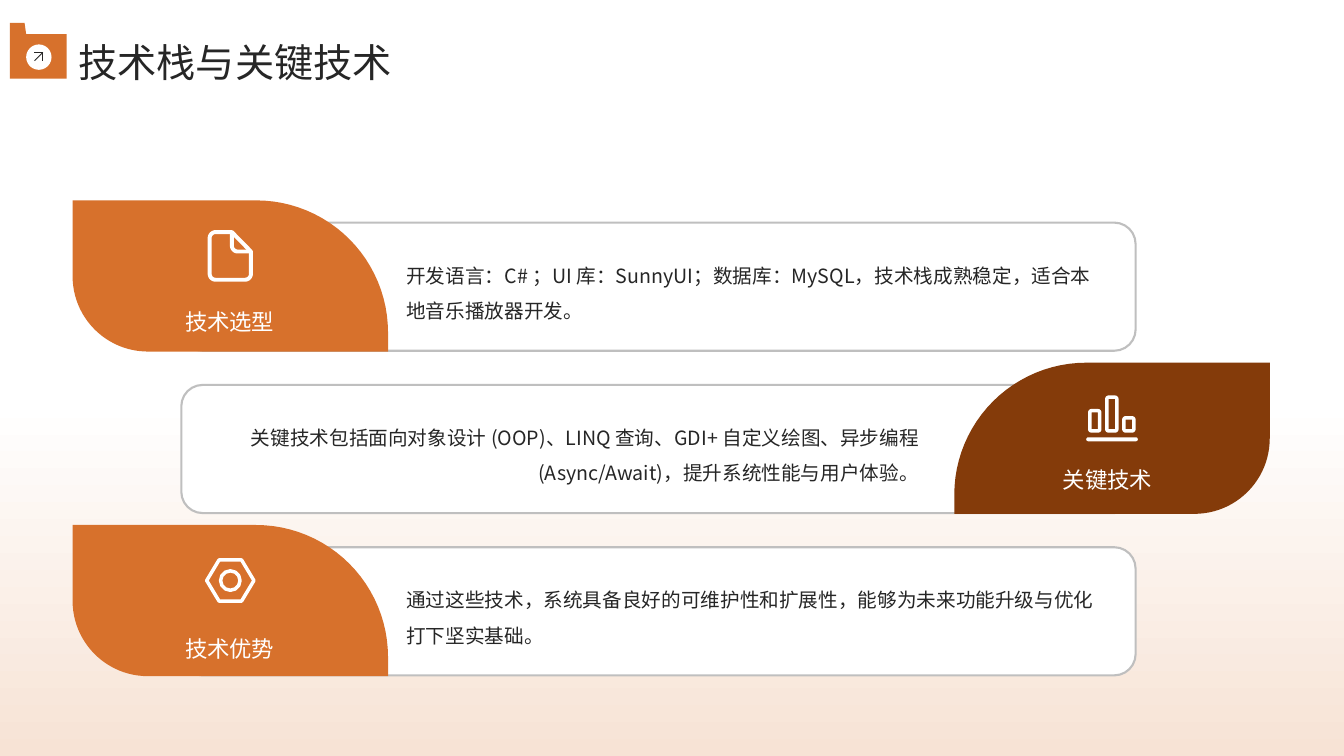
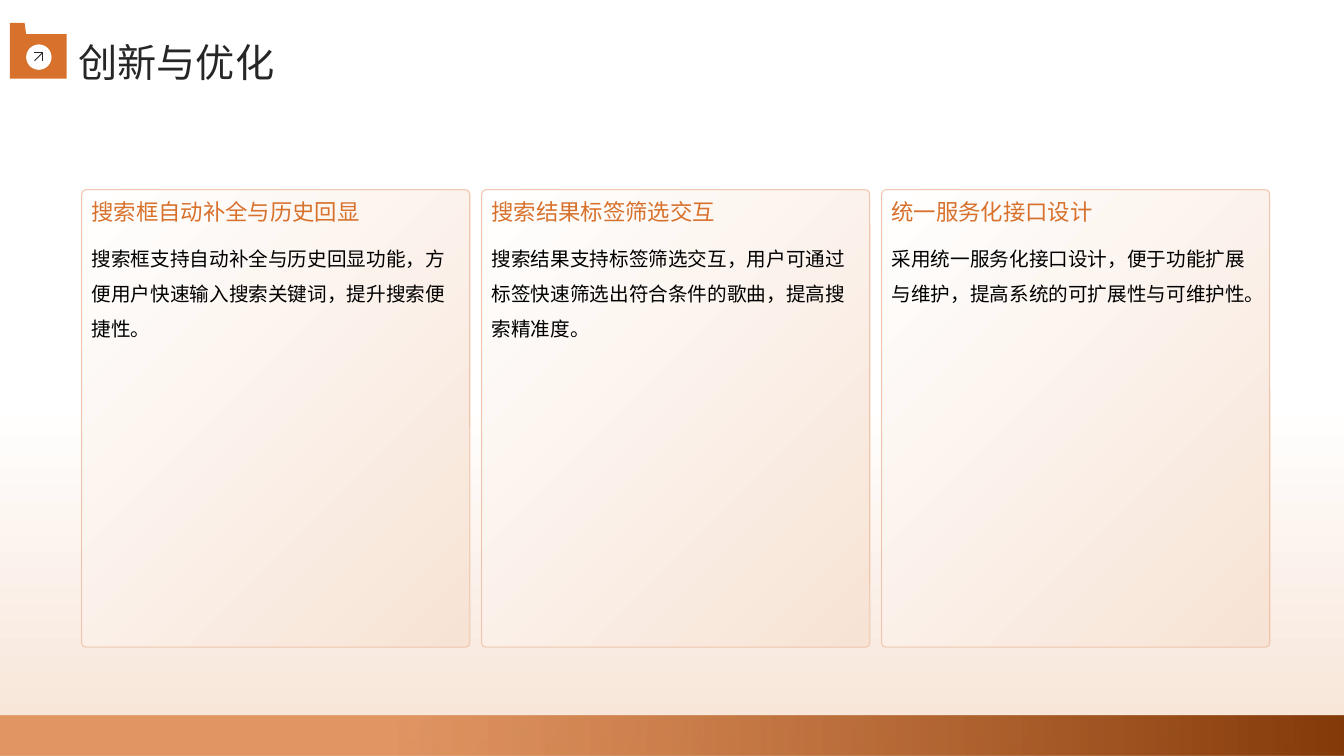
from math import cos, radians, sin

from lxml.etree import SubElement
from pptx import Presentation
from pptx.dml.color import RGBColor
from pptx.enum.shapes import MSO_CONNECTOR, MSO_SHAPE
from pptx.enum.text import MSO_ANCHOR, PP_ALIGN
from pptx.oxml.ns import qn
from pptx.util import Cm, Pt

FONT = "Noto Sans CJK SC"
ORANGE, BROWN, DEEP_ORANGE = "D7712C", "843B0A", "A3541F"
WHITE, PEACH, EDGE, GREY = "FFFFFF", "F7E3D5", "EFC6AB", "BFBFBF"
INK, BLACK = "262626", "000000"
PAGE_WIDTH, PAGE_HEIGHT = 33.87, 19.05


def color(value):
    return RGBColor.from_string(value)


def apply_gradient(fill, stops, angle):
    fill.gradient()
    fill.gradient_angle = -angle % 360
    for stop, (position, value) in zip(fill.gradient_stops, stops):
        stop.position = position
        stop.color.rgb = color(value)


def arc(center_x, center_y, radius, start, end, steps=24):
    angles = [radians(start + (end - start) * i / steps) for i in range(steps + 1)]
    return [(center_x + radius * cos(a), center_y + radius * sin(a)) for a in angles]


class SlideWriter:
    def __init__(self):
        self.deck = Presentation()
        self.deck.slide_width = Cm(PAGE_WIDTH)
        self.deck.slide_height = Cm(PAGE_HEIGHT)
        self.page = None

    def new_page(self, title):
        self.page = self.deck.slides.add_slide(self.deck.slide_layouts[6])
        apply_gradient(self.page.background.fill, [(0.53, WHITE), (1, PEACH)], 90)
        self.text(title, 1.73, 0.66, 30.18, 1.42, 28, INK, spacing=1.3,
                  inset=(0.25, 0.13, 0.25, 0.13))
        folder = [(0.25, 0.58), (0.62, 0.58), (0.66, 0.86),
                  (1.68, 0.86), (1.68, 1.98), (0.25, 1.98)]
        self.outline(folder, fill=ORANGE)
        self.shape(MSO_SHAPE.OVAL, 0.66, 1.12, 0.64, 0.64, fill=WHITE)
        self.outline([(0.87, 1.32), (1.08, 1.32), (1.08, 1.53)], line=INK,
                     weight=0.6, closed=False)
        self.line(0.87, 1.53, 1.08, 1.32, INK, 0.6)

    def style(self, shape, fill, line, weight):
        shape.shadow.inherit = False
        if fill:
            shape.fill.solid()
            shape.fill.fore_color.rgb = color(fill)
        else:
            shape.fill.background()
        if line:
            shape.line.color.rgb = color(line)
            shape.line.width = Pt(weight)
            SubElement(shape.line._get_or_add_ln(), qn("a:round"))
        else:
            shape.line.fill.background()
        return shape

    def shape(self, kind, left, top, width, height, fill=None, line=None,
              weight=1, adjust=None):
        shape = self.page.shapes.add_shape(
            kind, Cm(left), Cm(top), Cm(width), Cm(height))
        if adjust is not None:
            shape.adjustments[0] = adjust
        return self.style(shape, fill, line, weight)

    def outline(self, points, fill=None, line=None, weight=1, closed=True):
        corners = [(Cm(x), Cm(y)) for x, y in points]
        builder = self.page.shapes.build_freeform(*corners[0])
        builder.add_line_segments(corners[1:], close=closed)
        return self.style(builder.convert_to_shape(), fill, line, weight)

    def line(self, x1, y1, x2, y2, value, weight):
        connector = self.page.shapes.add_connector(
            MSO_CONNECTOR.STRAIGHT, Cm(x1), Cm(y1), Cm(x2), Cm(y2))
        connector.line.color.rgb = color(value)
        connector.line.width = Pt(weight)
        SubElement(connector._element.spPr, qn("a:effectLst"))

    def text(self, words, left, top, width, height, size, value, spacing=1.5,
             align=PP_ALIGN.LEFT, anchor=MSO_ANCHOR.MIDDLE, inset=(0, 0, 0, 0)):
        box = self.page.shapes.add_textbox(Cm(left), Cm(top), Cm(width), Cm(height))
        frame = box.text_frame
        frame.word_wrap = True
        frame.vertical_anchor = anchor
        (frame.margin_left, frame.margin_top,
         frame.margin_right, frame.margin_bottom) = map(Cm, inset)
        frame.text = words
        paragraph = frame.paragraphs[0]
        paragraph.alignment = align
        paragraph.line_spacing = spacing
        span = paragraph.runs[0]
        span.font.size = Pt(size)
        span.font.name = FONT
        span.font.color.rgb = color(value)
        SubElement(span._r.get_or_add_rPr(), qn("a:ea")).set("typeface", FONT)
        return span

    def leaf(self, left, top, width, height, fill, mirrored):
        large, small = 3.33, 1.9
        points = [(0, 0)]
        points += arc(width - large, large, large, -90, 0)
        points += [(width, height)]
        points += arc(small, height - small, small, 90, 180)
        if mirrored:
            points = [(width - x, y) for x, y in points]
        self.outline([(left + x, top + y) for x, y in points], fill=fill)

    def file_icon(self, x, y):
        half_width, half_height, radius = 0.52, 0.6, 0.15
        fold_x, fold_y = x + 0.04, y - 0.11
        left, right = x - half_width, x + half_width
        top, bottom = y - half_height, y + half_height
        sheet = [(fold_x, top), (right, fold_y)]
        sheet += arc(right - radius, bottom - radius, radius, 0, 90)
        sheet += arc(left + radius, bottom - radius, radius, 90, 180)
        sheet += arc(left + radius, top + radius, radius, 180, 270)
        fold = [(fold_x, top)]
        fold += arc(fold_x + radius, fold_y - radius, radius, 180, 90)
        fold += [(right, fold_y)]
        self.outline(sheet, line=WHITE, weight=2.8)
        self.outline(fold, line=WHITE, weight=2.8, closed=False)

    def chart_icon(self, x, y):
        for index, height in enumerate([0.51, 0.85, 0.33]):
            self.shape(MSO_SHAPE.ROUNDED_RECTANGLE, x - 0.56 + 0.43 * index,
                       y + 0.32 - height, 0.25, height, line=WHITE, weight=2.5)
        self.shape(MSO_SHAPE.ROUNDED_RECTANGLE, x - 0.65, y + 0.48, 1.3, 0.1,
                   fill=WHITE, adjust=0.5)

    def nut_icon(self, x, y):
        for kind, width, height, adjust in [(MSO_SHAPE.HEXAGON, 1.19, 1.04, 0.3),
                                            (MSO_SHAPE.OVAL, 0.49, 0.49, None)]:
            self.shape(kind, x - width / 2, y - height / 2, width, height,
                       line=WHITE, weight=2.5, adjust=adjust)

    def feature(self, top, label, label_top, words, icon, mirrored):
        leaf_width = 7.95
        leaf_left = 24.05 if mirrored else 1.83
        self.shape(MSO_SHAPE.ROUNDED_RECTANGLE, 4.57, top + 0.56, 24.05, 3.23,
                   fill=WHITE, line=GREY, weight=1.5)
        self.leaf(leaf_left, top, leaf_width, 3.81,
                  BROWN if mirrored else ORANGE, mirrored)
        icon(leaf_left + leaf_width / 2, top + 1.4)
        self.text(words, 5.56 if mirrored else 10.24, top + 0.84, 17.6, 2.69, 14,
                  INK, align=PP_ALIGN.RIGHT if mirrored else PP_ALIGN.LEFT)
        self.text(label, leaf_left + (1.17 if mirrored else 1.27), top + label_top,
                  5.38, 1.19, 16, WHITE, align=PP_ALIGN.CENTER)

    def card(self, left, heading, words):
        top = 4.78
        panel = self.shape(MSO_SHAPE.ROUNDED_RECTANGLE, left, top, 9.78, 11.53,
                           line=EDGE, weight=0.75, adjust=0.012)
        apply_gradient(panel.fill, [(0, WHITE), (1, PEACH)], 45)
        self.text(words, left + 0.15, top + 1.14, 9.3, 9.14, 14, BLACK,
                  anchor=MSO_ANCHOR.TOP, inset=(0.1, 0, 0, 0))
        span = self.text(heading, left + 0.15, top, 9.3, 1.12, 16, ORANGE,
                         spacing=1, inset=(0.1, 0.13, 0.25, 0.13))
        apply_gradient(span.font.fill, [(0, ORANGE), (1, DEEP_ORANGE)], 90)

    def footer_band(self):
        band = self.shape(MSO_SHAPE.RECTANGLE, 0, 18.03, PAGE_WIDTH, 1.02)
        apply_gradient(band.fill, [(0.29, ORANGE), (1, BROWN)], 0)
        first_stop = next(band._element.spPr.iter(qn("a:srgbClr")))
        SubElement(first_stop, qn("a:alpha")).set("val", "67000")


def main():
    writer = SlideWriter()

    writer.new_page("技术栈与关键技术")
    features = [
        ("技术选型", 2.29,
         "开发语言：C# ；UI 库：SunnyUI；数据库：MySQL，技术栈成熟稳定，适合本地音乐播放器开发。",
         writer.file_icon),
        ("关键技术", 2.19,
         "关键技术包括面向对象设计 (OOP)、LINQ 查询、GDI+ 自定义绘图、异步编程 (Async/Await)，提升系统性能与用户体验。",
         writer.chart_icon),
        ("技术优势", 2.34,
         "通过这些技术，系统具备良好的可维护性和扩展性，能够为未来功能升级与优化打下坚实基础。",
         writer.nut_icon),
    ]
    for index, (label, label_top, words, icon) in enumerate(features):
        writer.feature(5.05 + 4.09 * index, label, label_top, words, icon,
                       mirrored=index % 2 == 1)

    writer.new_page("创新与优化")
    writer.footer_band()
    cards = [
        ("搜索框自动补全与历史回显",
         "搜索框支持自动补全与历史回显功能，方便用户快速输入搜索关键词，提升搜索便捷性。"),
        ("搜索结果标签筛选交互",
         "搜索结果支持标签筛选交互，用户可通过标签快速筛选出符合条件的歌曲，提高搜索精准度。"),
        ("统一服务化接口设计",
         "采用统一服务化接口设计，便于功能扩展与维护，提高系统的可扩展性与可维护性。"),
    ]
    for index, (heading, words) in enumerate(cards):
        writer.card(2.06 + 10.08 * index, heading, words)

    writer.deck.save("out.pptx")


if __name__ == "__main__":
    main()
